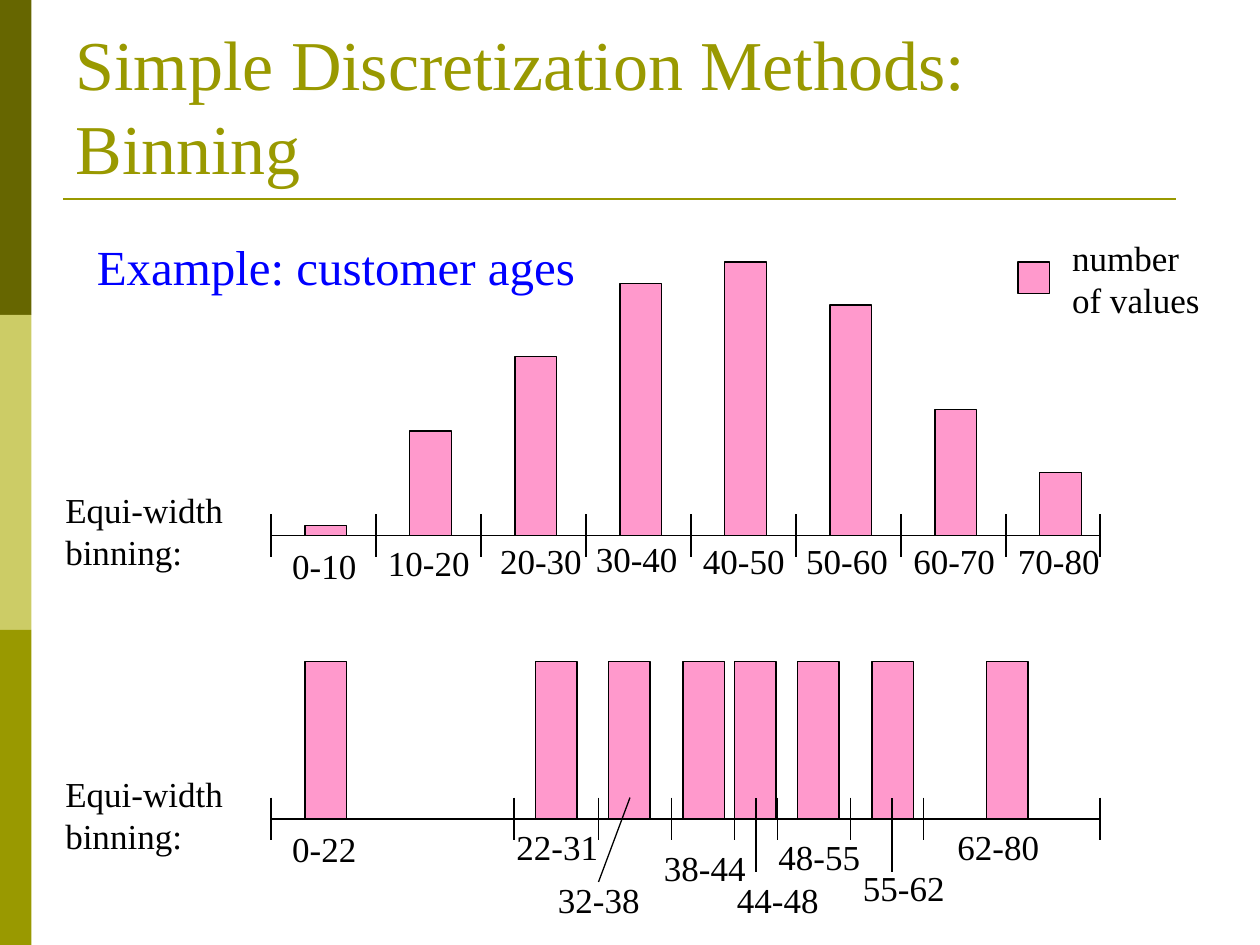
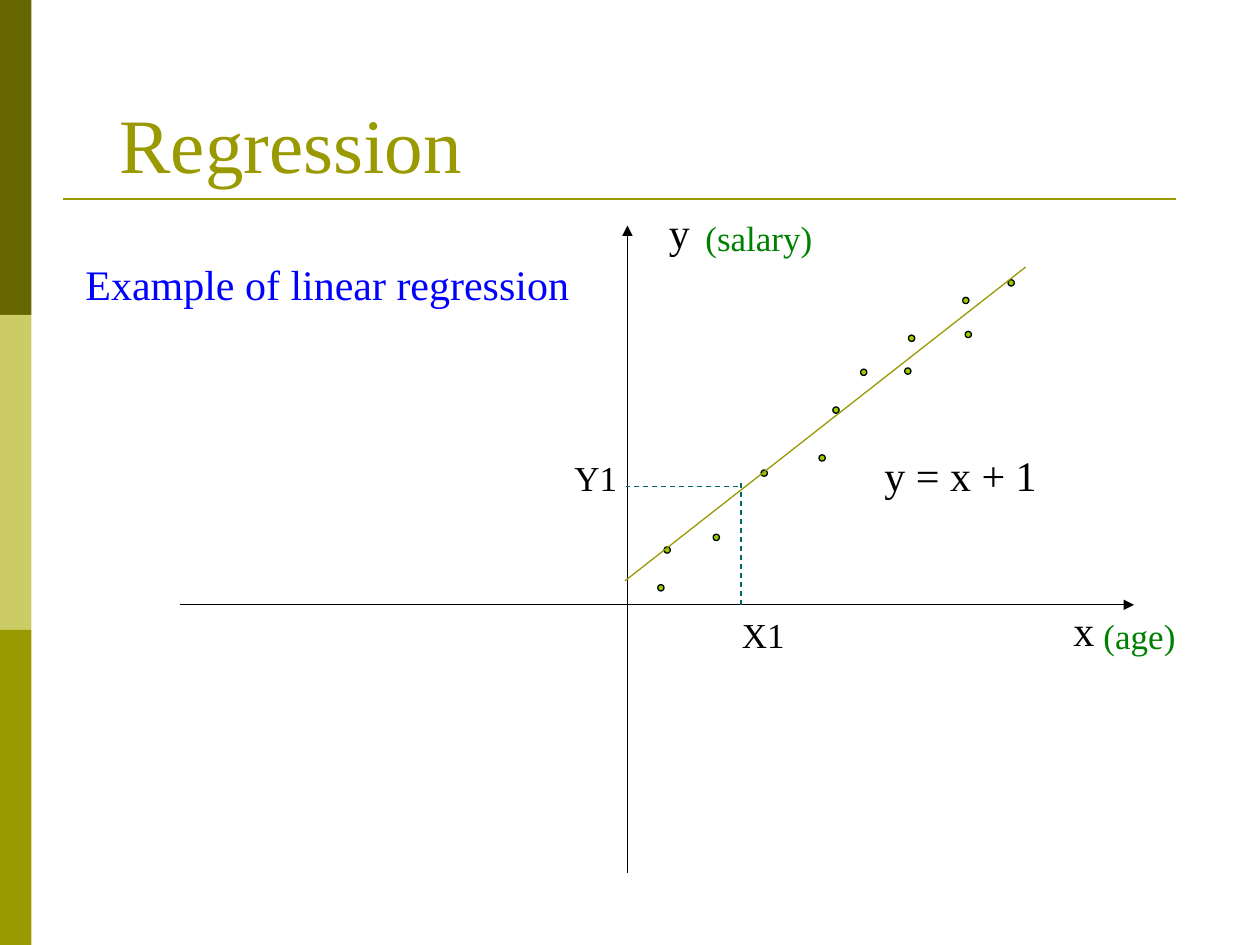
from lxml.etree import SubElement
from pptx import Presentation
from pptx.dml.color import RGBColor
from pptx.enum.dml import MSO_LINE
from pptx.enum.shapes import MSO_CONNECTOR, MSO_SHAPE
from pptx.enum.text import MSO_ANCHOR, MSO_AUTO_SIZE, PP_ALIGN
from pptx.oxml.ns import qn
from pptx.util import Inches, Pt

FONT = "Times New Roman"
OLIVE = RGBColor(0x99, 0x99, 0x00)
DARK = RGBColor(0x66, 0x66, 0x00)
PALE = RGBColor(0xCC, 0xCC, 0x66)
BLACK = RGBColor(0x00, 0x00, 0x00)
BLUE = RGBColor(0x00, 0x00, 0xFF)
GREEN = RGBColor(0x00, 0x80, 0x00)
LIME = RGBColor(0x99, 0xCC, 0x00)
TEAL = RGBColor(0x00, 0x66, 0x66)
PINK = RGBColor(0xFF, 0x99, 0xCC)

LEFT, RIGHT = 2.15, 8.73
STEP = 5 / 6
BAR = 0.33
TICK = 0.17

AGES = [
    (2.22, 4.27), (2.98, 4.25), (3.87, 4.23), (4.63, 4.22),
    (5.48, 4.23), (6.3, 4.23), (7.15, 4.23), (7.98, 4.23),
]
COUNTS = [0.08, 0.83, 1.42, 2, 2.17, 1.83, 1, 0.5]
DEPTHS = [
    ("0-22", 2.22, 6.52), ("22-31", 4, 6.5), ("32-38", 4.33, 6.92),
    ("38-44", 5.17, 6.67), ("44-48", 5.75, 6.92), ("48-55", 6.08, 6.58),
    ("55-62", 6.75, 6.83), ("62-80", 7.5, 6.5),
]
CUTS = [4.08, 4.75, 5.33, 5.83, 6.17, 6.75, 7.33]
STACKS = [2.42, 4.25, 4.83, 5.42, 5.83, 6.33, 6.92, 7.83]
LEADERS = [(4.75, 7, 5), (6, 6.92, 6), (7.08, 6.92, 7.08)]
DOTS = [
    (5.22, 4.64), (5.27, 4.34), (5.66, 4.24), (6.04, 3.73),
    (6.5, 3.61), (6.61, 3.23), (6.83, 2.93), (7.18, 2.92),
    (7.21, 2.66), (7.64, 2.36), (7.66, 2.63), (8, 2.22),
]


def style(frame, size, color):
    for para in frame.paragraphs:
        para.alignment = PP_ALIGN.LEFT
        for run in para.runs:
            run.font.name = FONT
            run.font.size = Pt(size)
            run.font.color.rgb = color


def add_text(slide, text, x, y, w, h=0.43, size=20, color=BLACK, wrap=False):
    box = slide.shapes.add_textbox(Inches(x), Inches(y), Inches(w), Inches(h))
    frame = box.text_frame
    frame.word_wrap = wrap
    frame.text = text
    style(frame, size, color)


def add_block(slide, x, y, w, h, fill, line=BLACK, kind=MSO_SHAPE.RECTANGLE):
    block = slide.shapes.add_shape(kind, Inches(x), Inches(y), Inches(w), Inches(h))
    block.shadow.inherit = False
    block.fill.solid()
    block.fill.fore_color.rgb = fill
    if line is None:
        block.line.fill.background()
    else:
        block.line.color.rgb = line
        block.line.width = Pt(0.75)


def add_line(slide, x1, y1, x2, y2, color=BLACK, width=0.75, dash=False, arrow=False):
    line = slide.shapes.add_connector(
        MSO_CONNECTOR.STRAIGHT, Inches(x1), Inches(y1), Inches(x2), Inches(y2))
    line.line.color.rgb = color
    line.line.width = Pt(width)
    if dash:
        line.line.dash_style = MSO_LINE.DASH
    if arrow:
        SubElement(line.line._get_or_add_ln(), qn("a:tailEnd"), type="triangle")
    SubElement(line._element.spPr, qn("a:effectLst"))


def add_page(deck, title, x, w, size):
    slide = deck.slides.add_slide(deck.slide_layouts[5])
    for row, color in enumerate((DARK, PALE, OLIVE)):
        add_block(slide, 0, row * 2.5, 0.25, 2.5, color, None)
    add_line(slide, 0.5, 1.58, 9.33, 1.58, OLIVE, 1.5)
    head = slide.shapes.title
    head.left, head.top = Inches(x), Inches(0.3)
    head.width, head.height = Inches(w), Inches(1.25)
    frame = head.text_frame
    frame.text = title
    frame.word_wrap = True
    frame.auto_size = MSO_AUTO_SIZE.NONE
    frame.vertical_anchor = MSO_ANCHOR.BOTTOM
    style(frame, size, OLIVE)
    return slide


def add_scale(slide, y, cuts):
    add_line(slide, LEFT, y, RIGHT, y)
    for x in (LEFT, *cuts, RIGHT):
        add_line(slide, x, y - TICK, x, y + TICK)
    add_text(slide, "Equi-width binning:", 0.42, y - 0.42, 1.67, 0.77, wrap=True)


def add_label(slide, text, x, y):
    add_text(slide, text, x, y, 0.71 if len(text) < 5 else 0.85)


def add_bins(deck):
    slide = add_page(deck, "Simple Discretization Methods: Binning", 0.5, 9, 40)
    add_text(slide, "Example: customer ages", 0.67, 1.83, 4, 0.57, 28, BLUE)
    add_block(slide, 8.08, 2.08, 0.25, 0.25, PINK)
    add_text(slide, "number\vof values", 8.41, 1.83, 1.21, 0.77)

    base = 4.25
    add_scale(slide, base, [LEFT + i * STEP for i in range(1, 8)])
    for i, ((x, y), count) in enumerate(zip(AGES, COUNTS)):
        add_label(slide, f"{i * 10}-{i * 10 + 10}", x, y)
        add_block(slide, 2.42 + i * STEP, base - count, BAR, count, PINK)

    base = 6.5
    add_scale(slide, base, CUTS)
    for text, x, y in DEPTHS:
        add_label(slide, text, x, y)
    for x in STACKS:
        add_block(slide, x, base - 1.25, BAR, 1.25, PINK)
    for x, y, top in LEADERS:
        add_line(slide, x, y, top, base - TICK)


def add_fit(deck):
    slide = add_page(deck, "Regression", 0.85, 5.54, 44)
    add_line(slide, 1.43, 4.8, 9, 4.8, arrow=True)
    add_line(slide, 4.98, 6.93, 4.98, 1.79, arrow=True)
    for x, y in DOTS:
        add_block(slide, x, y, 0.05, 0.05, LIME, kind=MSO_SHAPE.OVAL)
    add_line(slide, 4.96, 4.61, 8.14, 2.12, OLIVE)
    add_line(slide, 5.88, 3.83, 5.88, 4.82, TEAL, dash=True)
    add_line(slide, 5.86, 3.86, 4.97, 3.86, TEAL, dash=True)
    add_text(slide, "x", 8.42, 4.75, 0.36, 0.5, 24)
    add_text(slide, "y", 5.21, 1.59, 0.36, 0.5, 24)
    add_text(slide, "y = x + 1", 6.92, 3.52, 1.41, 0.5, 24)
    add_text(slide, "X1", 5.79, 4.82, 0.54)
    add_text(slide, "Y1", 4.46, 3.57, 0.54)
    add_text(slide, "(salary)", 5.5, 1.67, 1.05, color=GREEN)
    add_text(slide, "(age)", 8.66, 4.83, 0.77, color=GREEN)
    add_text(slide, "Example of linear regression", 0.58, 2, 4.04, 0.5, 24, BLUE)


def main():
    deck = Presentation()
    deck.slide_width, deck.slide_height = Inches(10), Inches(7.5)
    add_bins(deck)
    add_fit(deck)
    deck.save("out.pptx")


if __name__ == "__main__":
    main()
